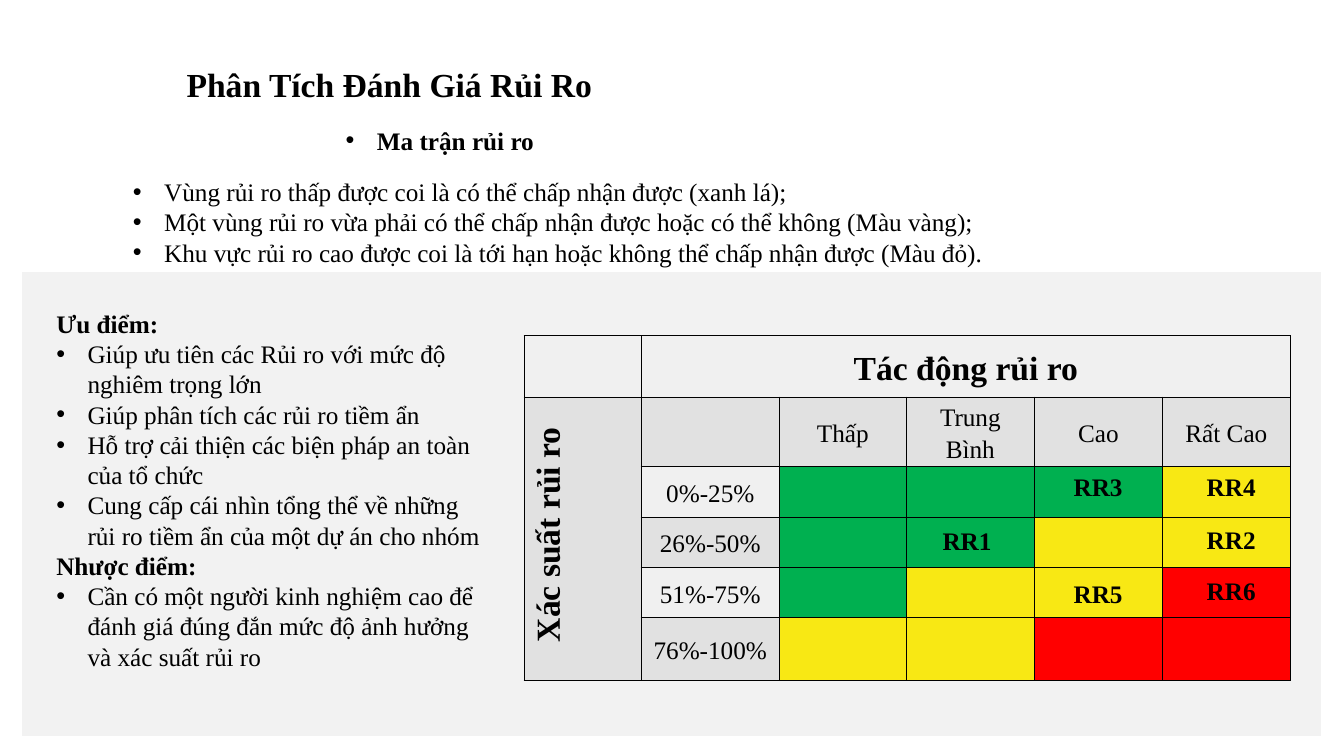
"""Build the risk assessment slide with its risk matrix."""
from dataclasses import dataclass

import pptx
import pptx.dml.color
import pptx.enum.shapes
import pptx.enum.text
import pptx.oxml
import pptx.oxml.ns
import pptx.util

Inches = pptx.util.Inches
Pt = pptx.util.Pt
TEXT = pptx.enum.text
COLORS = {
    "text": "000000", "border": "000000", "panel": "F2F2F2", "white": "FFFFFF",
    "light": "F0F0F0", "dark": "E1E1E1",
    "G": "00B050", "Y": "F8E814", "R": "FF0000",
}
BODY = {"name": "Times New Roman", "size": Pt(18), "bold": False}
BOLD = {**BODY, "bold": True}
HEADING = {**BOLD, "size": Pt(24)}
CELL = {
    "margin_left": Inches(0.07), "margin_right": Inches(0.07),
    "margin_top": 0, "margin_bottom": 0,
    "vertical_anchor": TEXT.MSO_ANCHOR.MIDDLE,
}
CELL_PARAGRAPH = {
    "alignment": TEXT.PP_ALIGN.CENTER, "line_spacing": 1.15, "space_after": Pt(10),
}
FRAME = {
    "word_wrap": True, "vertical_anchor": TEXT.MSO_ANCHOR.TOP,
    "auto_size": TEXT.MSO_AUTO_SIZE.SHAPE_TO_FIT_TEXT,
}


@dataclass
class Box:
    """A rectangle in inches."""
    left: float
    top: float
    width: float
    height: float

    def lengths(self) -> list:
        """Return left, top, width and height as lengths."""
        return [Inches(v) for v in (self.left, self.top, self.width, self.height)]


@dataclass
class Line:
    """One paragraph of a text block."""
    text: str
    style: dict
    bullet: bool = False


@dataclass
class Block:
    """A text box with its paragraphs."""
    box: Box
    lines: list[Line]


IMPACTS = ["Thấp", "Trung Bình", "Cao", "Rất Cao"]
ZONES = {"0%-25%": "GGGY", "26%-50%": "GGYY", "51%-75%": "GYYR", "76%-100%": "YYRR"}
COLUMNS = [1.16, 1.37, 1.26, 1.27, 1.27, 1.27]
ROWS = [0.61, 0.69, 0.5, 0.5, 0.5, 0.62]
RISKS = {
    "RR1": (9.25, 5.16), "RR2": (11.87, 5.15), "RR3": (10.55, 4.63),
    "RR4": (11.87, 4.63), "RR5": (10.55, 5.69), "RR6": (11.87, 5.66),
}
TITLE = Block(Box(1.75, 0.58, 5.94, 0.5), [Line("Phân Tích Đánh Giá Rủi Ro", HEADING)])
SUBTITLE = Block(Box(3.33, 1.19, 4.91, 0.4), [Line("Ma trận rủi ro", BOLD, True)])
LEGEND = Block(Box(1.22, 1.7, 11.48, 1.31), [
    Line("Vùng rủi ro thấp được coi là có thể chấp nhận được (xanh lá);", BODY, True),
    Line("Một vùng rủi ro vừa phải có thể chấp nhận được hoặc có thể không (Màu vàng);",
         BODY, True),
    Line("Khu vực rủi ro cao được coi là tới hạn hoặc không thể chấp nhận được (Màu đỏ).",
         BODY, True),
])
PROS_CONS = Block(Box(0.46, 3.01, 4.49, 4.04), [
    Line("Ưu điểm:", BOLD),
    Line("Giúp ưu tiên các Rủi ro với mức độ nghiêm trọng lớn", BODY, True),
    Line("Giúp phân tích các rủi ro tiềm ẩn", BODY, True),
    Line("Hỗ trợ cải thiện các biện pháp an toàn của tổ chức", BODY, True),
    Line("Cung cấp cái nhìn tổng thể về những rủi ro tiềm ẩn của một dự án cho nhóm",
         BODY, True),
    Line("Nhược điểm:", BOLD),
    Line("Cần có một người kinh nghiệm cao để đánh giá đúng đắn mức độ ảnh hưởng "
         "và xác suất rủi ro", BODY, True),
])


def rgb(key: str) -> pptx.dml.color.RGBColor:
    """Return a named colour."""
    return pptx.dml.color.RGBColor.from_string(COLORS[key])


def apply(target: object, values: dict) -> None:
    """Set each attribute in values on target."""
    for name, value in values.items():
        setattr(target, name, value)


def element(tag: str, **attributes: str):
    """Create a DrawingML element."""
    e = pptx.oxml.parse_xml(f"<a:{tag} {pptx.oxml.ns.nsdecls('a')}/>")
    for name, value in attributes.items():
        e.set(name, value)
    return e


def write(p, text: str, style: dict) -> None:
    """Add a styled run to a paragraph."""
    r = p.add_run()
    r.text = text
    apply(r.font, style)
    r.font.color.rgb = rgb("text")


def fill_text(shape, lines: list[Line]) -> None:
    """Write paragraphs into a shape."""
    tf = shape.text_frame
    apply(tf, FRAME)
    for i, line in enumerate(lines):
        p = tf.add_paragraph() if i else tf.paragraphs[0]
        p.alignment = TEXT.PP_ALIGN.LEFT
        if line.bullet:
            pPr = p._p.get_or_add_pPr()
            indent = Inches(0.31)
            pPr.set("marL", str(indent))
            pPr.set("indent", str(-indent))
            pPr.append(element("buFont", typeface="Arial"))
            pPr.append(element("buChar", char="•"))
        write(p, line.text, line.style)


def add_block(s, block: Block) -> None:
    """Add a text box."""
    fill_text(s.shapes.add_textbox(*block.box.lengths()), block.lines)


def add_rect(s, box: Box, color: str):
    """Add a borderless rectangle."""
    sp = s.shapes.add_shape(pptx.enum.shapes.MSO_SHAPE.RECTANGLE, *box.lengths())
    sp.shadow.inherit = False
    sp.fill.solid()
    sp.fill.fore_color.rgb = rgb(color)
    sp.line.fill.background()
    return sp


def format_cell(cell, color: str, text: str, style: dict) -> None:
    """Give a cell its borders, fill and centred text."""
    tcPr = cell._tc.get_or_add_tcPr()
    for side in ("lnL", "lnR", "lnT", "lnB"):
        ln = element(side, w=str(Pt(1)))
        fill = element("solidFill")
        fill.append(element("srgbClr", val=COLORS["border"]))
        ln.append(fill)
        tcPr.append(ln)
    cell.fill.solid()
    cell.fill.fore_color.rgb = rgb(color)
    if text:
        apply(cell, CELL)
        p = cell.text_frame.paragraphs[0]
        apply(p, CELL_PARAGRAPH)
        write(p, text, style)


def add_matrix(s) -> None:
    """Add the risk matrix table."""
    box = Box(5.2, 3.33, sum(COLUMNS), sum(ROWS))
    table = s.shapes.add_table(len(ROWS), len(COLUMNS), *box.lengths()).table
    apply(table, {"first_row": False, "horz_banding": False})
    for column, width in zip(table.columns, COLUMNS):
        column.width = Inches(width)
    for row, height in zip(table.rows, ROWS):
        row.height = Inches(height)
    texts = [["", "Tác động rủi ro"] + [""] * 4, ["Xác suất rủi ro", "", *IMPACTS]]
    colors = [["light"] * 6, ["dark"] * 6]
    for i, (chance, zones) in enumerate(ZONES.items()):
        texts.append(["", chance] + [""] * 4)
        colors.append(["dark", "dark" if i % 2 else "light", *zones])
    for i, row in enumerate(texts):
        for j, text in enumerate(row):
            style = HEADING if (i, j) in ((0, 1), (1, 0)) else BODY
            format_cell(table.cell(i, j), colors[i][j], text, style)
    table.cell(0, 1).merge(table.cell(0, 5))
    side = table.cell(1, 0)
    side.merge(table.cell(5, 0))
    side._tc.get_or_add_tcPr().set("vert", "vert270")
    side.text_frame.paragraphs[0]._p.get_or_add_pPr().set("marL", str(Inches(0.08)))


def main() -> None:
    """Build and save the slide."""
    prs = pptx.Presentation()
    apply(prs, {"slide_width": Inches(13.33), "slide_height": Inches(7.5)})
    s = prs.slides.add_slide(prs.slide_layouts[5])
    add_rect(s, Box(0.22, 2.7, 12.88, 4.6), "panel")
    veil = add_rect(s, Box(1.67, 0.47, 4.25, 0.72), "white")
    veil.fill._xPr.solidFill[0].append(element("alpha", val="90000"))
    title = s.shapes.title
    apply(title, dict(zip(("left", "top", "width", "height"), TITLE.box.lengths())))
    fill_text(title, TITLE.lines)
    veil.element.addnext(title.element)
    add_block(s, SUBTITLE)
    add_matrix(s)
    for name, (left, top) in RISKS.items():
        add_block(s, Block(Box(left, top, 1, 0.4), [Line(name, BOLD)]))
    add_block(s, LEGEND)
    add_block(s, PROS_CONS)
    prs.save("out.pptx")


if __name__ == "__main__":
    main()
